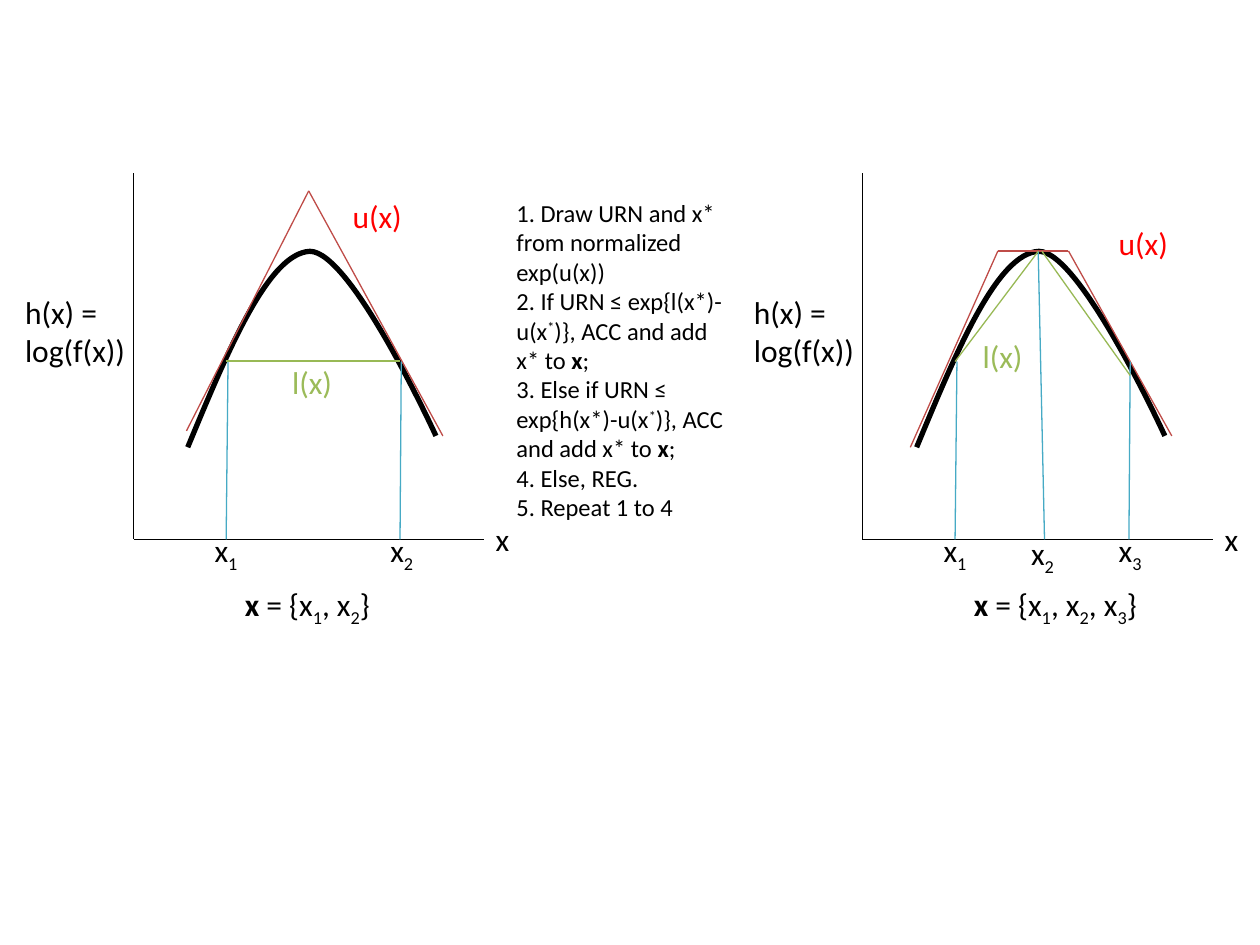
from dataclasses import dataclass

from lxml.etree import SubElement
from pptx import Presentation
from pptx.dml.color import RGBColor
from pptx.enum.shapes import MSO_CONNECTOR as Connector
from pptx.enum.text import MSO_AUTO_SIZE as AutoSize
from pptx.oxml.ns import qn
from pptx.util import Inches, Pt


@dataclass(frozen=True)
class Theme:
    """Colours, font, type sizes and line weights of the slide."""
    ink: str = "000000"
    upper: str = "BF4C48"
    upper_label: str = "FF0000"
    lower: str = "98B955"
    lower_label: str = "9BBB59"
    drop: str = "46AAC5"
    font: str = "Calibri"
    label_size: int = 18
    step_size: int = 14
    thin: float = 0.75
    thick: float = 3


@dataclass(frozen=True)
class Box:
    """A region whose inside is measured in slide columns and rows."""
    left: float
    top: float
    cell: int

    def point(self, column, row):
        """Return the slide position of a grid position in the region."""
        return (round((self.left + column) * self.cell),
                round((self.top + row) * self.cell))


@dataclass(frozen=True)
class Envelope:
    """What differs between the two sampling diagrams."""
    drops: tuple
    upper: tuple
    lower: tuple
    ticks: tuple
    upper_label: tuple
    lower_label: tuple
    members: tuple
    members_width: float


THEME = Theme()
COLUMNS = 100
CURVE_START = (13.9, 21.7)
CURVE = (((17.1, 14), (20.3, 6.3), (23.6, 6.15)),
         ((26.9, 6.15), (33.6, 20.8), (33.6, 20.8)))
FIRST_DROP = ((17.1, 14.9), (16.95, 29))
LAST_DROP = ((30.85, 14.9), (30.75, 29))

INITIAL = Envelope(
    drops=(FIRST_DROP, LAST_DROP),
    upper=((13.8, 20.4), (23.5, 1.35), (34.15, 20.8)),
    lower=(((16.9, 14.85), (30.75, 14.85)),),
    ticks=(("1", 15.05, 27.85), ("2", 29, 27.85)),
    upper_label=(26, 1.35),
    lower_label=(21.2, 14.5),
    members=("1", "2"),
    members_width=12.7,
)
REFINED = Envelope(
    drops=(FIRST_DROP, LAST_DROP, ((23.55, 6.15), (24.05, 29))),
    upper=((13.4, 21.7), (20.35, 6.12), (25.95, 6.12), (34.15, 20.8)),
    lower=(((16.95, 14.9), (23.55, 6.15)), ((23.85, 6.15), (30.85, 16))),
    ticks=(("1", 15.05, 27.85), ("2", 22, 28.1), ("3", 28.95, 27.85)),
    upper_label=(28.95, 3.5),
    lower_label=(18.15, 12.45),
    members=("1", "2", "3"),
    members_width=15.9,
)

STEPS = (
    (("1. Draw URN and x* from normalized exp(u(x))", ""),),
    (("2. If URN ≤ exp{l(x*)-u(x", ""), ("*", "super"),
     (")}, ACC and add x* to ", ""), ("x", "bold"), (";", "")),
    (("3. Else if URN ≤ exp{h(x*)-u(x", ""), ("*", "super"),
     (")}, ACC and add x* to ", ""), ("x", "bold"), (";", "")),
    (("4. Else, REG.", ""),),
    (("5. Repeat 1 to 4", ""),),
)
BASELINES = {"super": "30000", "sub": "-25000"}


def add_line(slide, box, start, end, color):
    """Draw a thin straight line between two grid positions."""
    line = slide.shapes.add_connector(
        Connector.STRAIGHT, *box.point(*start), *box.point(*end))
    line.line.color.rgb = RGBColor.from_string(color)
    line.line.width = Pt(THEME.thin)
    SubElement(line._element.spPr, qn("a:effectLst"))


def add_text(slide, box, place, size, paragraphs, color=THEME.ink,
             points=THEME.label_size, wrap=False):
    """Place paragraphs made of (text, style) runs."""
    shape = slide.shapes.add_textbox(
        *box.point(*place), *(round(length * box.cell) for length in size))
    frame = shape.text_frame
    frame.word_wrap = wrap
    frame.auto_size = AutoSize.SHAPE_TO_FIT_TEXT
    for index, runs in enumerate(paragraphs):
        paragraph = frame.add_paragraph() if index else frame.paragraphs[0]
        for text, style in runs:
            run = paragraph.add_run()
            run.text = text
            run.font.name = THEME.font
            run.font.size = Pt(points)
            run.font.color.rgb = RGBColor.from_string(color)
            run.font.bold = style == "bold"
            if style in BASELINES:
                run.font._element.set("baseline", BASELINES[style])


def add_curve(slide, box):
    """Draw the thick log density curve with cubic segments."""
    builder = slide.shapes.build_freeform(*box.point(*CURVE_START), scale=1.0)
    builder.add_line_segments(
        [box.point(*segment[-1]) for segment in CURVE], close=False)
    shape = builder.convert_to_shape()
    outline = next(shape._element.iter(qn("a:pathLst")))[0]
    for straight in outline.findall(qn("a:lnTo")):
        outline.remove(straight)
    for segment in CURVE:
        cubic = SubElement(outline, qn("a:cubicBezTo"))
        for position in segment:
            x, y = box.point(*position)
            SubElement(cubic, qn("a:pt"),
                       x=str(x - shape.left), y=str(y - shape.top))
    shape.shadow.inherit = False
    shape.fill.background()
    shape.line.color.rgb = RGBColor.from_string(THEME.ink)
    shape.line.width = Pt(THEME.thick)


def add_diagram(slide, box, envelope):
    """Draw one diagram of the density with its upper and lower hulls."""
    origin = (9.6, 29)
    for end in ((9.6, -0.05), (37.4, 29)):
        add_line(slide, box, end, origin, THEME.ink)
    add_curve(slide, box)
    for start, end in zip(envelope.upper, envelope.upper[1:]):
        add_line(slide, box, start, end, THEME.upper)
    for start, end in envelope.drops:
        add_line(slide, box, start, end, THEME.drop)
    for start, end in envelope.lower:
        add_line(slide, box, start, end, THEME.lower)

    add_text(slide, box, (0, 8.95), (12.5, 7.1),
             [[("h(x) = log(f(x))", "")]], wrap=True)
    add_text(slide, box, (37.35, 27), (3.1, 4), [[("x", "")]])
    for index, column, row in envelope.ticks:
        add_text(slide, box, (column, row), (4, 4),
                 [[("x", ""), (index, "sub")]])
    add_text(slide, box, envelope.upper_label, (6, 4),
             [[("u(x)", "")]], THEME.upper_label)
    add_text(slide, box, envelope.lower_label, (5.2, 4),
             [[("l(x)", "")]], THEME.lower_label)

    members = [("x", "bold")]
    for position, index in enumerate(envelope.members):
        members += [(", x" if position else " = {x", ""), (index, "sub")]
    add_text(slide, box, (17.45, 32.15), (envelope.members_width, 4),
             [members + [("}", "")]])


def add_steps(slide, box):
    """Write the steps of the sampling algorithm."""
    add_text(slide, box, (0, 0), (18.8, 26.9), STEPS,
             points=THEME.step_size, wrap=True)


def main():
    """Build and save the slide."""
    presentation = Presentation()
    presentation.slide_width = Inches(10)
    presentation.slide_height = Inches(7.5)
    slide = presentation.slides.add_slide(presentation.slide_layouts[6])
    cell = presentation.slide_width // COLUMNS
    add_diagram(slide, Box(1, 13.8, cell), INITIAL)
    add_steps(slide, Box(40, 15.22, cell))
    add_diagram(slide, Box(58.85, 13.8, cell), REFINED)
    presentation.save("out.pptx")


if __name__ == "__main__":
    main()
